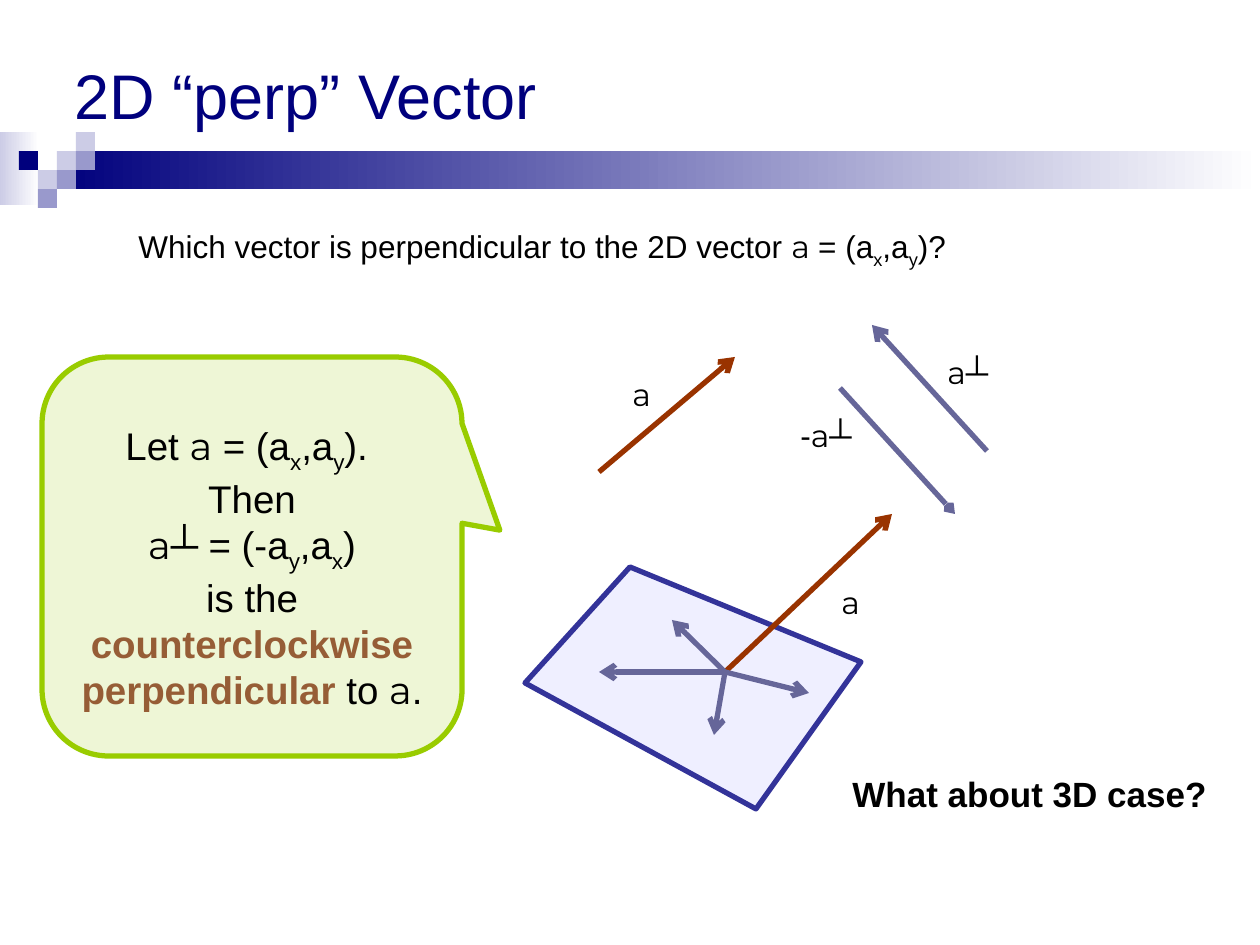
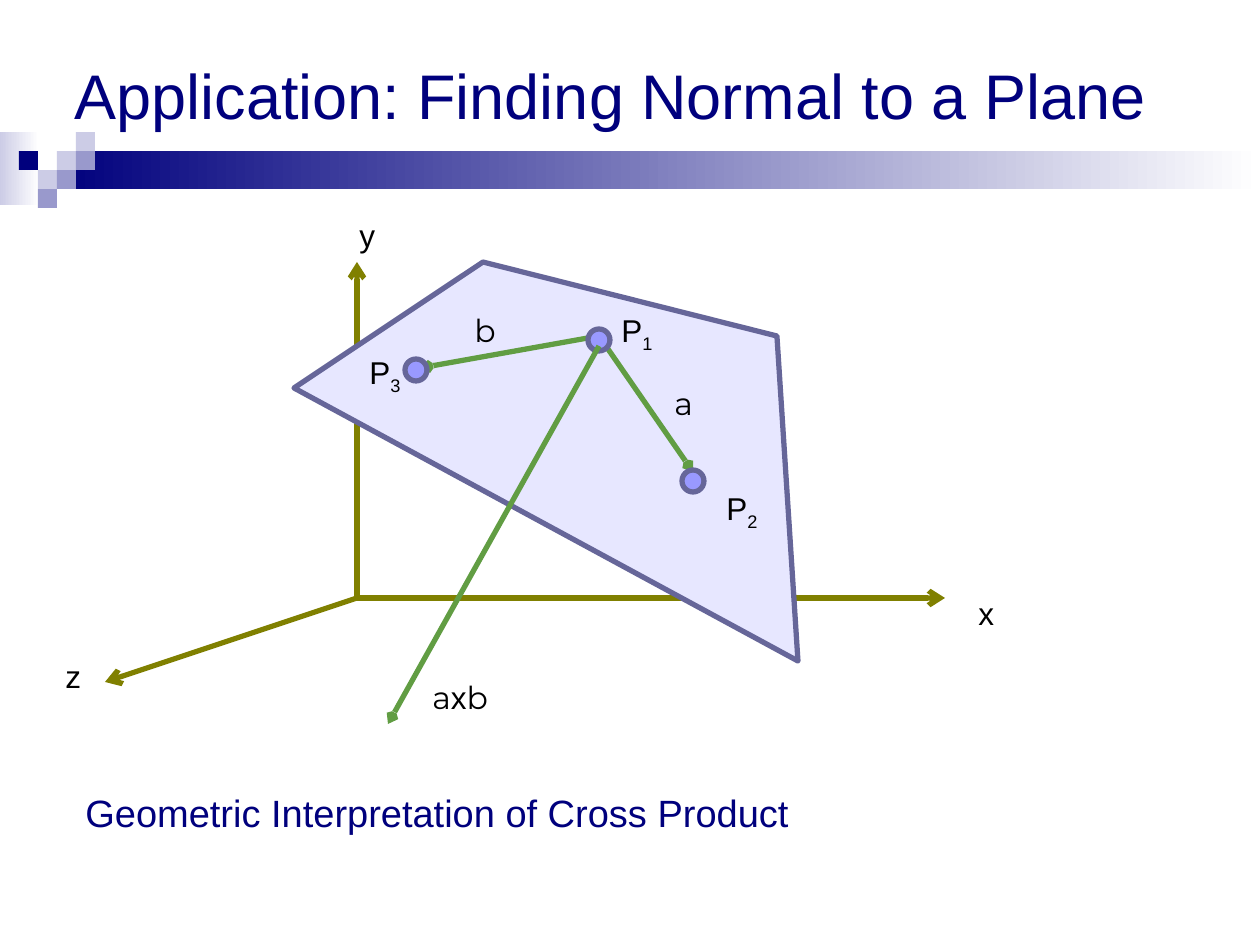
"""Build two slides on perpendicular vectors and plane normals."""
import lxml.etree
import pptx
import pptx.dml.color
import pptx.enum.shapes
import pptx.enum.text
import pptx.oxml.ns
import pptx.util

PX = 914400 / 126
COLORS = {
    "navy": "00007D", "mid": "9999CC", "pale": "CCCCE6", "white": "FFFFFF",
    "black": "000000", "brown": "965D36", "lime": "99CC00", "rust": "993300",
    "slate": "666699", "indigo": "333399", "violet": "9999FF", "lilac": "E7E7FF",
    "olive": "808000", "green": "619D43",
}
STYLES = {
    "plain": {},
    "vector": {"face": "Montserrat"},
    "sub": {"baseline": "-25000"},
    "strong": {"bold": True},
    "term": {"bold": True, "color": "brown"},
    "heading": {"color": "navy"},
}
LINE_WIDTH = 3
CELL = 19
BAND_TOP = 132
BARS = [(0, BAND_TOP, 39, 73, "pale"), (57, BAND_TOP + CELL, 1203, 38, "navy")]
SQUARES = [(3, 1, "pale"), (4, 0, "pale"), (4, 1, "mid"), (2, 2, "pale"),
           (1, 1, "navy"), (3, 2, "mid"), (2, 3, "mid")]

A = ("a", "vector")
B = ("b", "vector")
PERP = ("┴", "plain")


def pair(before, first, middle, second, after):
    """Return the spans of a coordinate pair with subscripts."""
    return [(before, "plain"), (first, "sub"), (middle, "plain"),
            (second, "sub"), (after, "plain")]


def point(number):
    """Return the spans of a numbered point name."""
    return [("P", "plain"), (number, "sub")]


DEFINITION = [
    [("Let ", "plain"), A, *pair(" = (a", "x", ",a", "y", "). ")],
    [("Then", "plain")],
    [A, *pair("┴ = (-a", "y", ",a", "x", ")")],
    [("is the ", "plain"), ("counterclockwise perpendicular", "term"),
     (" to ", "plain"), A, (".", "plain")],
]
FOOT = (725, 672)
ORIGIN = (357, 598)
PAGES = [
    ("2D “perp” Vector", [
        ("label", (126, 221), 1018,
         [("Which vector is perpendicular to the 2D vector ", "plain"), ("a ", "vector"),
          *pair("= (a", "x", ",a", "y", ")?")]),
        ("callout", (42, 357, 420, 399), DEFINITION),
        ("arrow", (599, 472), (735, 357), "rust"),
        ("arrow", (987, 451), (872, 325), "slate"),
        ("arrow", (840, 388), (955, 514), "slate", "sm"),
        ("label", (935, 347), 105, [A, PERP]),
        ("label", (788, 410), 105, [("-", "plain"), A, PERP]),
        ("label", (620, 369), 105, [A]),
        ("plane", [(525, 683), (630, 567), (861, 662), (756, 809)], "violet", "indigo", 15),
        ("arrow", FOOT, (892, 514), "rust"),
        *[("arrow", FOOT, tip, "slate")
          for tip in [(672, 620), (599, 672), (714, 735), (809, 693)]],
        ("label", (829, 577), 105, [A]),
        ("label", (840, 766), 420, [("What about 3D case?", "strong")], 20),
    ]),
    ("Application: Finding Normal to a Plane", [
        *[("arrow", ORIGIN, tip, "olive") for tip in [(945, 598), (357, 262), (105, 682)]],
        ("plane", [(483, 262), (294, 388), (798, 661), (777, 336)], "lilac", "slate"),
        ("arrow", (599, 336), (420, 368), "green", "sm"),
        ("arrow", (599, 336), (693, 472), "green", "sm"),
        *[("dot", center) for center in [(693, 481), (416, 370), (599, 340)]],
        ("arrow", (599, 346), (388, 724), "green", "sm"),
        ("label", (420, 672), 116, [A, ("x", "plain"), B]),
        ("label", (462, 305), 53, [B]),
        ("label", (662, 378), 53, [A]),
        ("label", (966, 588), 53, [("x", "plain")]),
        ("label", (347, 210), 53, [("y", "plain")]),
        ("label", (53, 651), 53, [("z", "plain")]),
        ("label", (714, 483), 73, point("2")),
        ("label", (609, 305), 73, point("1")),
        ("label", (357, 347), 73, point("3")),
        ("label", (73, 783), 1134,
         [("Geometric Interpretation of Cross Product", "heading")], 21.7),
    ]),
]


def px(*values):
    """Turn pixel lengths into EMU."""
    return [round(value * PX) for value in values]


def rgb(name):
    """Return a named colour."""
    return pptx.dml.color.RGBColor.from_string(COLORS[name])


def add_mark(parent, tag, **attributes):
    """Append one drawing element."""
    return lxml.etree.SubElement(parent, pptx.oxml.ns.qn(tag), attributes)


def write(para, spans, size):
    """Add styled runs to a paragraph."""
    for text, style_name in spans:
        style = STYLES[style_name]
        span = para.add_run()
        span.text = text
        font = span.font
        font.name = style.get("face", "Arial")
        font.size = pptx.util.Pt(size)
        font.bold = style.get("bold", False)
        font.color.rgb = rgb(style.get("color", "black"))
        if "baseline" in style:
            span._r.get_or_add_rPr().set("baseline", style["baseline"])


def paint(shape, fill, line=None, opacity=None):
    """Give a shape its fill and outline."""
    shape.shadow.inherit = False
    shape.fill.solid()
    shape.fill.fore_color.rgb = rgb(fill)
    if opacity:
        color = next(shape.element.spPr.iter(pptx.oxml.ns.qn("a:srgbClr")))
        add_mark(color, "a:alpha", val=str(opacity * 1000))
    if line:
        shape.line.color.rgb = rgb(line)
        shape.line.width = pptx.util.Pt(LINE_WIDTH)
    else:
        shape.line.fill.background()


def add_preset(page, kind, box):
    """Add a preset shape at a pixel box."""
    return page.shapes.add_shape(getattr(pptx.enum.shapes.MSO_SHAPE, kind), *px(*box))


def draw_label(page, corner, width, spans, size=18):
    """Draw a one-line text box."""
    box = page.shapes.add_textbox(*px(*corner, width, 50))
    box.text_frame.word_wrap = True
    write(box.text_frame.paragraphs[0], spans, size)


def draw_callout(page, box, lines):
    """Draw the speech bubble with its definition."""
    bubble = add_preset(page, "ROUNDED_RECTANGULAR_CALLOUT", box)
    for index, value in enumerate((0.59, -0.066, 0.167)):
        bubble.adjustments[index] = value
    paint(bubble, "lime", "lime", 16)
    frame = bubble.text_frame
    frame.word_wrap = True
    frame.vertical_anchor = pptx.enum.text.MSO_ANCHOR.TOP
    frame.margin_top = px(46)[0]
    for index, spans in enumerate(lines):
        para = frame.add_paragraph() if index else frame.paragraphs[0]
        para.alignment = pptx.enum.text.PP_ALIGN.CENTER
        write(para, spans, 22)


def draw_arrow(page, start, tip, color, head="med"):
    """Draw a line with an open arrowhead at its tip."""
    arrow = page.shapes.add_connector(
        pptx.enum.shapes.MSO_CONNECTOR.STRAIGHT, *px(*start, *tip))
    arrow.line.color.rgb = rgb(color)
    arrow.line.width = pptx.util.Pt(LINE_WIDTH)
    properties = arrow.element.spPr
    add_mark(properties.find(pptx.oxml.ns.qn("a:ln")), "a:tailEnd",
             type="arrow", w=head, len=head)
    add_mark(properties, "a:effectLst")


def draw_plane(page, corners, fill, line, opacity=None):
    """Draw a closed polygon."""
    first, *rest = [px(*corner) for corner in corners]
    builder = page.shapes.build_freeform(*first)
    builder.add_line_segments(rest, close=True)
    paint(builder.convert_to_shape(), fill, line, opacity)


def draw_dot(page, center, size=22):
    """Draw a point marker."""
    corner = [value - size / 2 for value in center]
    paint(add_preset(page, "OVAL", (*corner, size, size)), "violet", "slate")


DRAWERS = {"label": draw_label, "callout": draw_callout, "arrow": draw_arrow,
           "plane": draw_plane, "dot": draw_dot}


def prepare_layout(layout, page):
    """Put the band and the title position on the shared layout."""
    pieces = []
    for *box, color in BARS:
        bar = add_preset(page, "RECTANGLE", box)
        paint(bar, color)
        bar.fill.gradient()
        bar.fill.gradient_angle = 0
        for stop, name, place in zip(bar.fill.gradient_stops, (color, "white"), (0, 1)):
            stop.color.rgb = rgb(name)
            stop.position = place
        pieces.append(bar)
    for column, row, color in SQUARES:
        square = add_preset(
            page, "RECTANGLE", (column * CELL, BAND_TOP + row * CELL, CELL, CELL))
        paint(square, color)
        pieces.append(square)
    for index, piece in enumerate(pieces):
        piece.element.nvSpPr.cNvPr.set("id", str(100 + index))
        layout.shapes.element.insert(2 + index, piece.element)
    title = layout.placeholders[0]
    title.left, title.top, title.width, title.height = px(62, 0, 1134, 189)


def main():
    """Build and save the deck."""
    deck = pptx.Presentation()
    deck.slide_width, deck.slide_height = px(1260, 945)
    layout = deck.slide_layouts[5]
    for index, (title, parts) in enumerate(PAGES):
        page = deck.slides.add_slide(layout)
        if index == 0:
            prepare_layout(layout, page)
        frame = page.shapes.title.text_frame
        frame.vertical_anchor = pptx.enum.text.MSO_ANCHOR.MIDDLE
        frame.paragraphs[0].alignment = pptx.enum.text.PP_ALIGN.LEFT
        write(frame.paragraphs[0], [(title, "heading")], 36)
        for kind, *details in parts:
            DRAWERS[kind](page, *details)
    deck.save("out.pptx")


if __name__ == "__main__":
    main()
